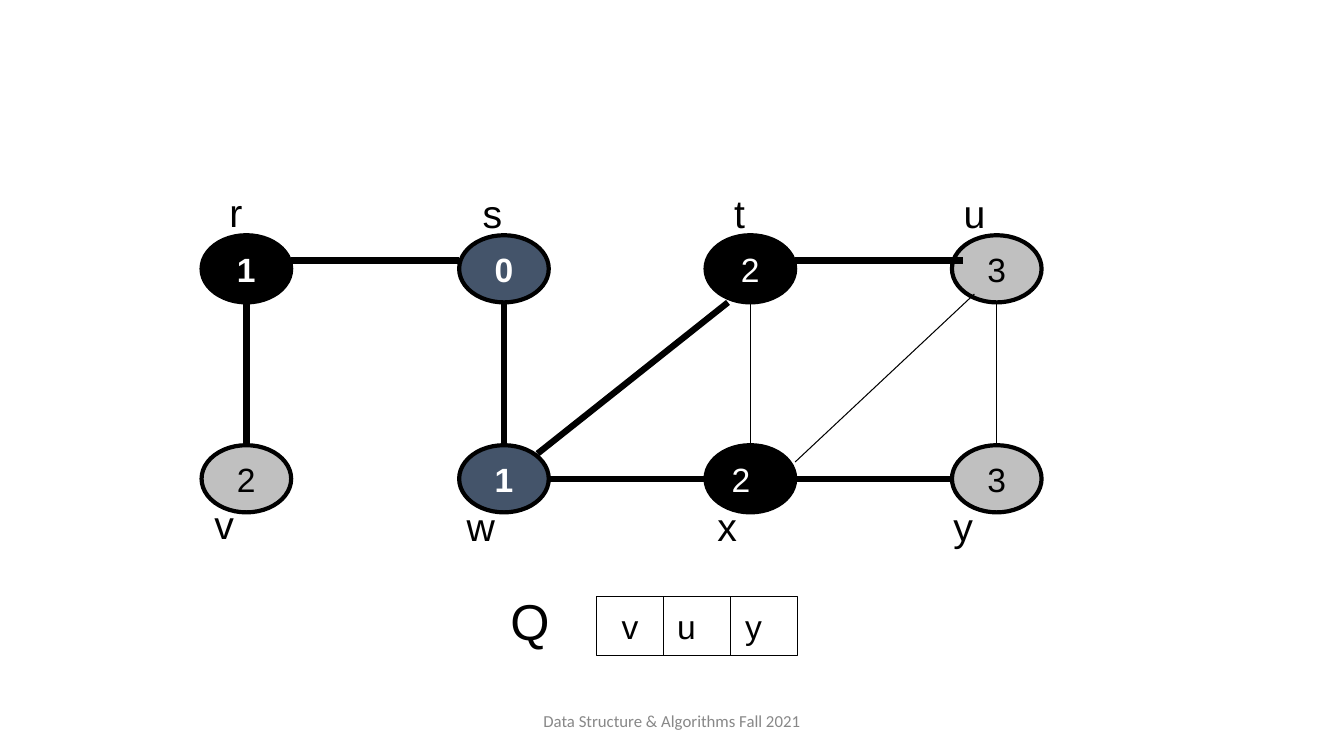
from typing import NamedTuple

from pptx import Presentation
from pptx.dml.color import RGBColor
from pptx.enum import shapes, text
from pptx.oxml import xmlchemy
from pptx.util import Pt

BLACK = RGBColor(0x00, 0x00, 0x00)
WHITE = RGBColor(0xFF, 0xFF, 0xFF)
SLATE = RGBColor(0x44, 0x54, 0x6A)
SILVER = RGBColor(0xC0, 0xC0, 0xC0)
FOOTER_GRAY = RGBColor(0x88, 0x88, 0x88)

NODE_W, NODE_H = 64, 48
COLUMNS = (144, 328, 504, 680)
TOP_ROW, BOTTOM_ROW = 168, 318
CELL_W, CELL_H = 48, 42
QUEUE_LEFT, QUEUE_TOP = 426, 426
THICK, THIN = 4.5, 0.75


class Vertex(NamedTuple):
    name: str
    distance: str
    column: int
    top: float
    fill: RGBColor
    label_left: float
    label_top: float
    label_width: float
    bold: bool = False
    right_inset: float = 7.2


class Edge(NamedTuple):
    x1: float
    y1: float
    x2: float
    y2: float
    weight: float


class QueueEntry(NamedTuple):
    name: str
    left: float
    width: float


VERTICES = (
    Vertex("r", "1", 0, TOP_ROW, BLACK, 152.6, 131, 31.7, bold=True),
    Vertex("s", "0", 1, TOP_ROW, SLATE, 332.6, 132, 38.2, bold=True),
    Vertex("t", "2", 2, TOP_ROW, BLACK, 513.4, 132, 29.5),
    Vertex("u", "3", 3, TOP_ROW, SILVER, 676, 132, 40.3),
    Vertex("v", "2", 0, BOTTOM_ROW, SILVER, 141.1, 354.2, 38.2),
    Vertex("w", "1", 1, BOTTOM_ROW, SLATE, 320.4, 355, 46.1, bold=True),
    Vertex("x", "2", 2, BOTTOM_ROW, BLACK, 500.4, 355, 38.2, right_inset=20.6),
    Vertex("y", "3", 3, BOTTOM_ROW, SILVER, 668.9, 355, 38.2),
)

VERTICAL_WEIGHTS = (THICK, THICK, THIN, THIN)
EDGES = tuple(
    Edge(left + NODE_W / 2, TOP_ROW + NODE_H, left + NODE_W / 2, BOTTOM_ROW, weight)
    for left, weight in zip(COLUMNS, VERTICAL_WEIGHTS)
) + (
    Edge(208, 186, 328, 186, THICK),
    Edge(568, 186, 688, 186, THICK),
    Edge(392, 342, 504, 342, THICK),
    Edge(568, 342, 680, 342, THICK),
    Edge(384, 324, 520, 216, THICK),
    Edge(568, 330, 696, 210, THIN),
)

QUEUE = (
    QueueEntry("v", 414.7, 70.6),
    QueueEntry("u", 471.6, 37.4),
    QueueEntry("y", 520.6, 35.3),
)


def write(frame, content: str, *, size: float, color: RGBColor = BLACK,
          font: str = "Arial", bold: bool = False,
          anchor=text.MSO_ANCHOR.TOP) -> None:
    frame.word_wrap = True
    frame.vertical_anchor = anchor
    paragraph = frame.paragraphs[0]
    paragraph.alignment = text.PP_ALIGN.CENTER
    run = paragraph.add_run()
    run.text = content
    run.font.name = font
    run.font.size = Pt(size)
    run.font.bold = bold
    run.font.color.rgb = color


def add_label(slide, content: str, left: float, top: float, width: float,
              height: float, **text_format) -> None:
    label = slide.shapes.add_textbox(Pt(left), Pt(top), Pt(width), Pt(height))
    write(label.text_frame, content, **text_format)


def add_vertex(slide, vertex: Vertex) -> None:
    node = slide.shapes.add_shape(
        shapes.MSO_SHAPE.OVAL, Pt(COLUMNS[vertex.column]), Pt(vertex.top),
        Pt(NODE_W), Pt(NODE_H))
    node.shadow.inherit = False
    node.fill.solid()
    node.fill.fore_color.rgb = vertex.fill
    node.line.color.rgb = BLACK
    node.line.width = Pt(3)
    node.text_frame.margin_right = Pt(vertex.right_inset)
    write(node.text_frame, vertex.distance, size=24, bold=vertex.bold,
          color=BLACK if vertex.fill == SILVER else WHITE,
          anchor=text.MSO_ANCHOR.MIDDLE)


def add_edge(slide, edge: Edge) -> None:
    line = slide.shapes.add_connector(
        shapes.MSO_CONNECTOR.STRAIGHT, Pt(edge.x1), Pt(edge.y1),
        Pt(edge.x2), Pt(edge.y2))
    line.line.color.rgb = BLACK
    line.line.width = Pt(edge.weight)
    line._element.spPr.append(xmlchemy.OxmlElement("a:effectLst"))


def add_queue_cell(slide, index: int, entry: QueueEntry) -> None:
    cell = slide.shapes.add_shape(
        shapes.MSO_SHAPE.RECTANGLE, Pt(QUEUE_LEFT + index * CELL_W),
        Pt(QUEUE_TOP), Pt(CELL_W), Pt(CELL_H))
    cell.shadow.inherit = False
    cell.fill.background()
    cell.line.color.rgb = BLACK
    cell.line.width = Pt(THIN)
    add_label(slide, entry.name, entry.left, 429, entry.width, 36, size=24)


def main() -> None:
    presentation = Presentation()
    presentation.slide_width = Pt(960)
    presentation.slide_height = Pt(540)
    slide = presentation.slides.add_slide(presentation.slide_layouts[6])

    for vertex in VERTICES:
        add_vertex(slide, vertex)
    for vertex in VERTICES:
        add_label(slide, vertex.name, vertex.label_left, vertex.label_top,
                  vertex.label_width, 41, size=28)
    for edge in EDGES:
        add_edge(slide, edge)

    add_label(slide, "Q", 350, 417.6, 57, 51, size=36)
    for index, entry in enumerate(QUEUE):
        add_queue_cell(slide, index, entry)

    add_label(slide, "Data Structure & Algorithms Fall 2021", 318, 500.5, 324, 28.8,
              size=12, font="Calibri", color=FOOTER_GRAY,
              anchor=text.MSO_ANCHOR.MIDDLE)
    presentation.save("out.pptx")


if __name__ == "__main__":
    main()
